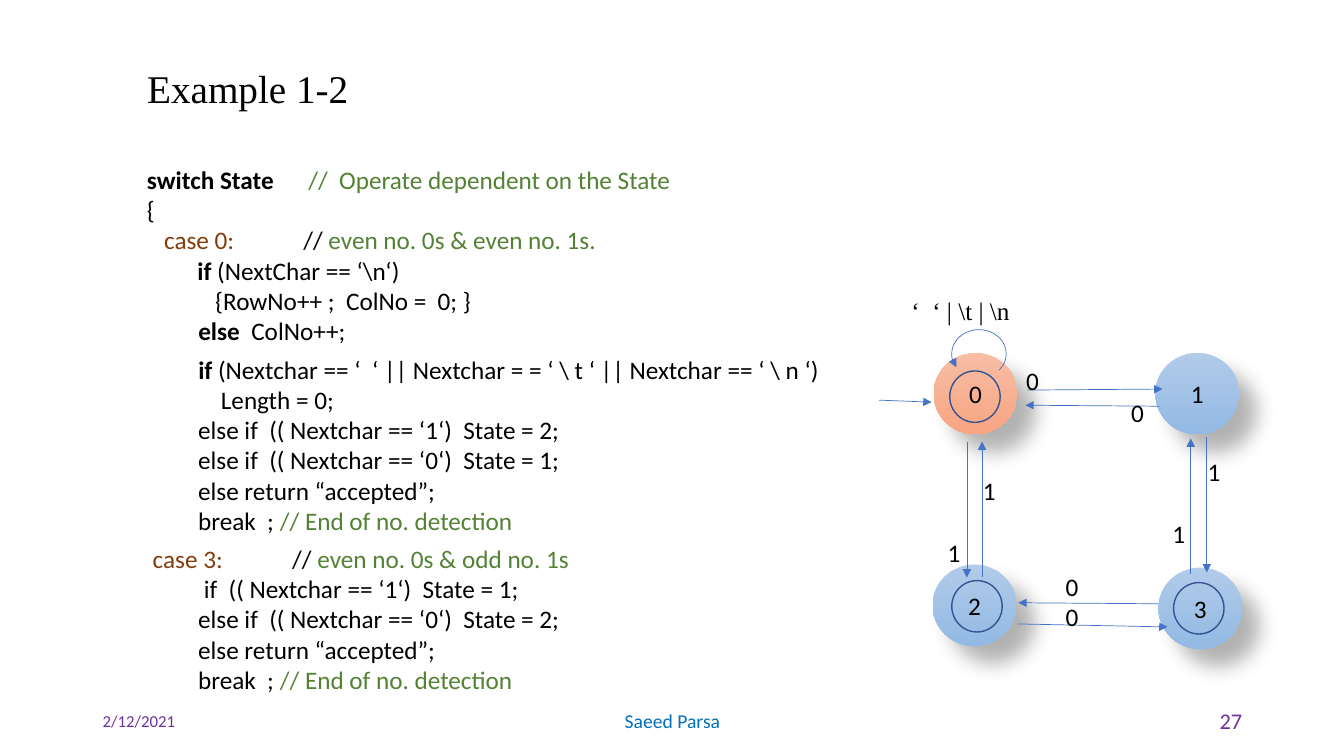
from dataclasses import dataclass
from typing import Optional

from lxml import etree
from pptx import Presentation
from pptx.dml.color import RGBColor
from pptx.enum.shapes import MSO_CONNECTOR, MSO_SHAPE
from pptx.enum.text import MSO_ANCHOR, PP_ALIGN
from pptx.oxml.ns import qn
from pptx.util import Inches, Pt

LEFT, CENTER, RIGHT = PP_ALIGN.LEFT, PP_ALIGN.CENTER, PP_ALIGN.RIGHT
TOP, MIDDLE = MSO_ANCHOR.TOP, MSO_ANCHOR.MIDDLE
OVAL, ARC = MSO_SHAPE.OVAL, MSO_SHAPE.ARC
STRAIGHT = MSO_CONNECTOR.STRAIGHT
SANS, SERIF = "Calibri", "Times New Roman"
BLACK, GREEN, BROWN = "000000", "548235", "843C0B"
BLUE, NAVY, PURPLE, AZURE = "4472C4", "325491", "7030A0", "0070C0"
SKY, CORAL = ("B1CBE9", "93B9E4"), ("F7BDA5", "F8A582")
SIZE = (0.83, 0.81)
RING = (0.5, 0.51)


@dataclass
class Word:
    text: str
    color: str = BLACK
    bold: bool = False


@dataclass
class Line:
    words: list[Word]
    after: float = 0
    left: float = 0
    tab: float = 0


@dataclass
class Label:
    text: str
    box: tuple[float, ...]
    size: float = 18
    color: str = BLACK
    face: str = SANS
    align: PP_ALIGN = LEFT
    anchor: MSO_ANCHOR = TOP


@dataclass
class State:
    name: str
    left: float
    top: float
    fill: tuple[str, str] = SKY
    ring: Optional[tuple[float, float]] = None


@dataclass
class Arrow:
    start: tuple[float, float]
    end: tuple[float, float]


def plain(text: str) -> Line:
    return Line([Word(text)])


def test(lead: str, char: str, goal: int) -> Line:
    return plain(f"{lead}if  (( Nextchar == ‘{char}‘)  State = {goal};")


def case(lead: str, num: int, note: str, tab: float) -> Line:
    return Line([Word(lead), Word(f"case {num}:", BROWN), Word("\t//"), Word(note, GREEN)], tab=tab)


PAD = " " * 9
ELSE = PAD + "else "
TAIL = [
    plain(ELSE + "return “accepted”;"),
    Line([Word(PAD + "break  ; "), Word("// End of no. detection", GREEN)]),
]
CODE = [
    ((1.36, 1.58, 10.36, 3.82), [
        Line([Word("switch State\t", bold=True), Word("//  Operate dependent on the State", GREEN)], tab=1.6),
        plain("{"),
        case("   ", 0, " even no. 0s & even no. 1s.", 1.55),
        Line([Word("if", bold=True), Word(" (NextChar == ‘\\n‘)")], left=0.5),
        plain("            {RowNo++ ;  ColNo =  0; }"),
        Line([Word(PAD), Word("else  ", bold=True), Word("ColNo++;")], after=6),
        Line([Word(PAD), Word("if ", bold=True),
              Word("(Nextchar == ‘  ‘ || Nextchar = = ‘ \\ t ‘ || Nextchar == ‘ \\ n ‘)")]),
        plain("             Length = 0;"),
        test(ELSE, "1", 2),
        test(ELSE, "0", 1),
        *TAIL,
    ]),
    ((1.36, 5.34, 6.67, 1.62), [
        case(" ", 3, " even no. 0s & odd no. 1s", 1.44),
        test(PAD + " ", "1", 1),
        test(ELSE, "0", 2),
        *TAIL,
    ]),
]
FOOT = [
    Label("2/12/2021", (0.92, 6.95, 3, 0.4), 12, PURPLE, anchor=MIDDLE),
    Label("Saeed Parsa", (4.42, 6.95, 4.5, 0.4), 14, AZURE, align=CENTER, anchor=MIDDLE),
    Label("27", (9.42, 6.95, 3, 0.4), 16, PURPLE, align=RIGHT, anchor=MIDDLE),
]
STATES = [
    State("0", 9.26, 3.5, CORAL, (9.42, 3.68)),
    State("1", 11.46, 3.5),
    State("2", 9.25, 5.6, ring=(9.44, 5.76)),
    State("3", 11.49, 5.63, ring=(11.64, 5.78)),
]
ARROWS = [
    Arrow((10.19, 3.87), (11.53, 3.86)), Arrow((11.5, 4.03), (10.17, 4.02)),
    Arrow((11.81, 5.69), (11.81, 4.35)), Arrow((11.97, 4.34), (11.97, 5.68)),
    Arrow((11.49, 5.99), (10.1, 5.98)), Arrow((10.09, 6.19), (11.58, 6.22)),
    Arrow((9.59, 4.39), (9.59, 5.73)), Arrow((9.74, 5.72), (9.74, 4.38)),
    Arrow((8.72, 3.97), (9.24, 3.99)),
]
MARKS = [
    ("0", 10.08, 3.57), ("0", 11.12, 3.89), ("0", 10.47, 5.62), ("0", 10.47, 5.92),
    ("1", 11.88, 4.48), ("1", 11.53, 5.09), ("1", 9.65, 4.67), ("1", 9.3, 5.28),
]


def paint(color, code: str) -> None:
    color.rgb = RGBColor.from_string(code)


def inches(*nums: float) -> list:
    return [Inches(num) for num in nums]


def style(item, **values) -> None:
    for key, value in values.items():
        setattr(item, key, value)


def write(para, word: Word, size: float = 18, face: str = SANS) -> None:
    run = para.add_run()
    run.text = word.text
    style(run.font, size=Pt(size), name=face, bold=word.bold)
    paint(run.font.color, word.color)


def label(slide, item: Label) -> None:
    frame = slide.shapes.add_textbox(*inches(*item.box)).text_frame
    style(frame, word_wrap=True, vertical_anchor=item.anchor)
    para = frame.paragraphs[0]
    para.alignment = item.align
    write(para, Word(item.text, item.color), item.size, item.face)


def code(slide, box: tuple[float, ...], lines: list[Line]) -> None:
    frame = slide.shapes.add_textbox(*inches(*box)).text_frame
    frame.word_wrap = True
    for num, line in enumerate(lines):
        para = frame.add_paragraph() if num else frame.paragraphs[0]
        para.space_after = Pt(line.after)
        props = para._p.get_or_add_pPr()
        if line.left:
            props.set("marL", str(Inches(line.left)))
        if line.tab:
            tabs = etree.SubElement(props, qn("a:tabLst"))
            etree.SubElement(tabs, qn("a:tab"), pos=str(Inches(line.tab)), algn="l")
        for word in line.words:
            write(para, word)


def shade(shape) -> None:
    props = shape._element.spPr
    effect = etree.SubElement(props, qn("a:effectLst"))
    cast = etree.SubElement(effect, qn("a:outerShdw"), blurRad=str(Pt(15)), dist=str(Pt(18)),
                            dir="2700000", algn="tl", rotWithShape="0")
    tint = etree.SubElement(cast, qn("a:srgbClr"), val=BLACK)
    etree.SubElement(tint, qn("a:alpha"), val="30000")


def state(slide, item: State) -> None:
    shape = slide.shapes.add_shape(OVAL, *inches(item.left, item.top, *SIZE))
    shape.line.fill.background()
    shape.fill.gradient()
    shape.fill.gradient_angle = 270
    for stop, tint in zip(shape.fill.gradient_stops, item.fill):
        paint(stop.color, tint)
    shade(shape)
    shape.text_frame.vertical_anchor = MIDDLE
    para = shape.text_frame.paragraphs[0]
    para.alignment = CENTER
    write(para, Word(item.name))


def stroke(shape, tint: str, width: float, end: str = "") -> None:
    paint(shape.line.color, tint)
    shape.line.width = Pt(width)
    if end:
        etree.SubElement(shape.line._get_or_add_ln(), qn(f"a:{end}"), type="triangle")


def curve(slide, kind: MSO_SHAPE, box: tuple[float, ...], tint: str, width: float, end: str = ""):
    shape = slide.shapes.add_shape(kind, *inches(*box))
    shape.shadow.inherit = False
    shape.fill.background()
    stroke(shape, tint, width, end)
    return shape


def arrow(slide, item: Arrow) -> None:
    link = slide.shapes.add_connector(STRAIGHT, *inches(*item.start, *item.end))
    stroke(link, BLUE, 0.5, "tailEnd")
    etree.SubElement(link._element.spPr, qn("a:effectLst"))


def main() -> None:
    deck = Presentation()
    style(deck, slide_width=Inches(13.33), slide_height=Inches(7.5))
    slide = deck.slides.add_slide(deck.slide_layouts[5])
    title = slide.shapes.title
    left, top, width, height = inches(1.36, 0.58, 9.89, 0.64)
    style(title, left=left, top=top, width=width, height=height)
    title.text_frame.vertical_anchor = MIDDLE
    para = title.text_frame.paragraphs[0]
    style(para, alignment=LEFT, line_spacing=0.9)
    write(para, Word("Example 1-2"), 28, SERIF)
    for item in FOOT:
        label(slide, item)
    for box, lines in CODE:
        code(slide, box, lines)
    for item in STATES:
        state(slide, item)
    for item in ARROWS:
        arrow(slide, item)
    for text, left, top in MARKS:
        label(slide, Label(text, (left, top, 0.53, 0.45)))
    for item in STATES:
        if item.ring:
            curve(slide, OVAL, (*item.ring, *RING), NAVY, 1)
    loop = curve(slide, ARC, (9.44, 3.27, 0.54, 0.48), BLUE, 0.5, "headEnd")
    loop.adjustments[0], loop.adjustments[1] = 89.59, 23.68
    label(slide, Label("‘  ‘ | \\t | \\n", (8.94, 2.88, 1.79, 0.4), face=SERIF))
    deck.save("out.pptx")


if __name__ == "__main__":
    main()
